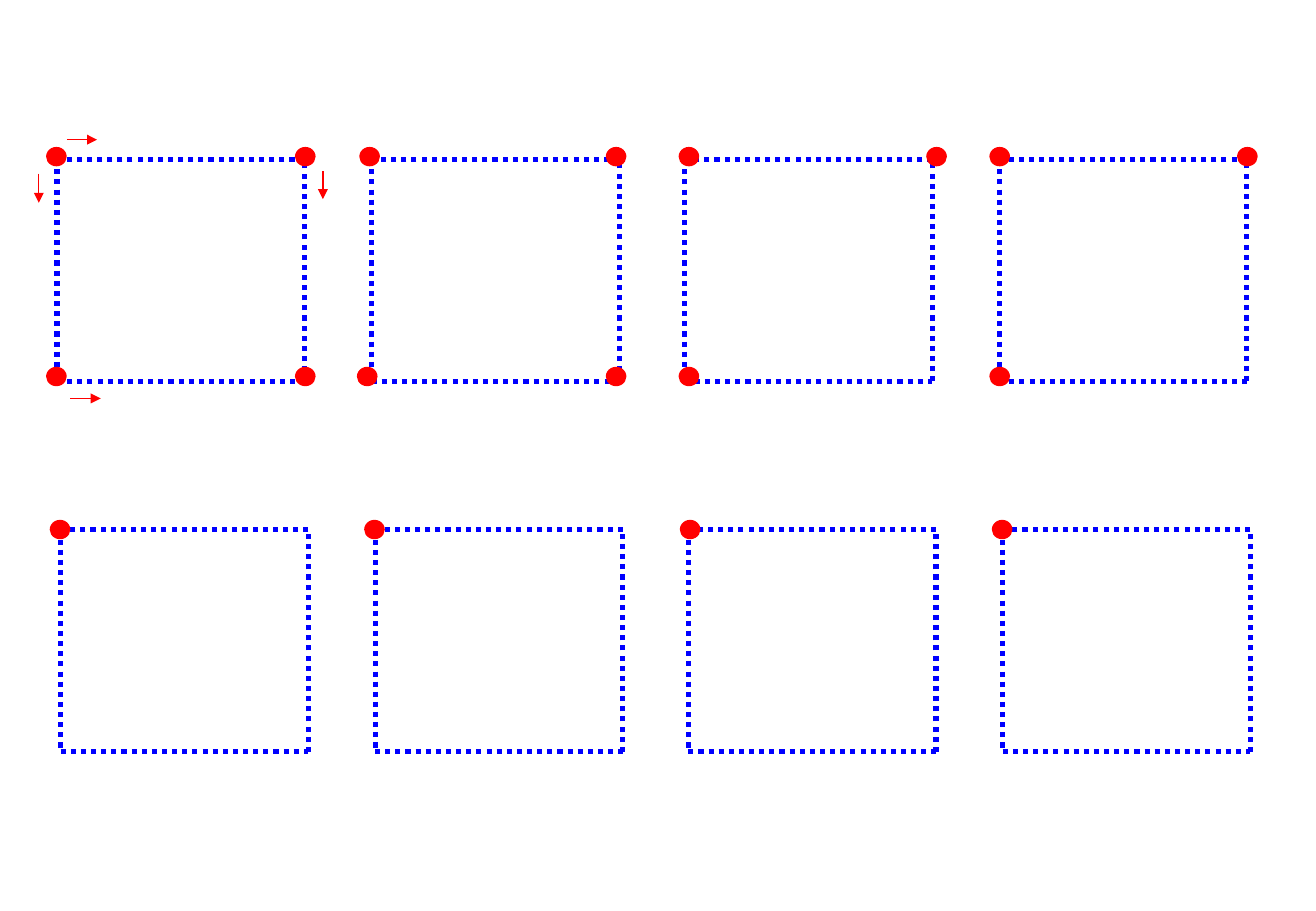
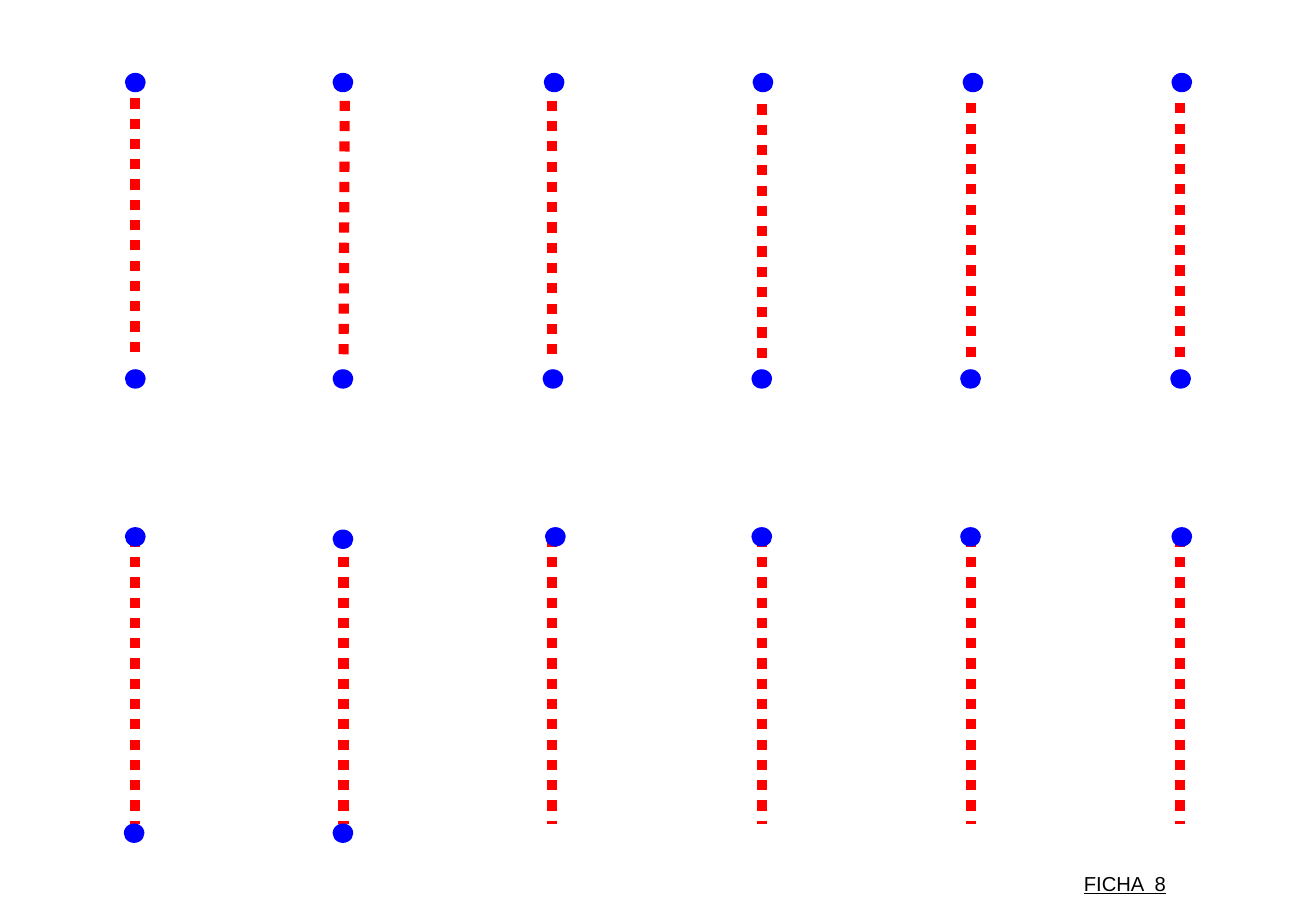
from lxml import etree
from pptx import Presentation
from pptx.dml.color import RGBColor
from pptx.enum.dml import MSO_LINE
from pptx.enum.shapes import MSO_CONNECTOR, MSO_SHAPE
from pptx.enum.text import MSO_AUTO_SIZE
from pptx.oxml.ns import qn
from pptx.util import Pt

PX = 9144
BLUE = RGBColor(0x00, 0x00, 0xFF)
RED = RGBColor(0xFF, 0x00, 0x00)
BLACK = RGBColor(0x00, 0x00, 0x00)
STRAIGHT = MSO_CONNECTOR.STRAIGHT
ELLIPSE = MSO_SHAPE.OVAL
DOTTED = MSO_LINE.ROUND_DOT
GROW = MSO_AUTO_SIZE.SHAPE_TO_FIT_TEXT
DOT_WIDTH, DOT_HEIGHT = 17, 16


def add_line(shapes, start, end, color, width, arrow=False):
    line = shapes.add_connector(STRAIGHT, *(value * PX for value in start + end))
    line.line.color.rgb = color
    line.line.width = Pt(width)
    properties = line._element.spPr
    if arrow:
        etree.SubElement(properties.find(qn("a:ln")), qn("a:tailEnd"), type="triangle")
    else:
        line.line.dash_style = DOTTED
    etree.SubElement(properties, qn("a:effectLst"))


def add_text(page, text, at, size, color, font="Arial", underline=False):
    box = page.shapes.add_textbox(*(value * PX for value in at))
    box.text_frame.word_wrap = True
    box.text_frame.auto_size = GROW
    span = box.text_frame.paragraphs[0].add_run()
    span.text = text
    span.font.name = font
    span.font.size = Pt(size)
    span.font.color.rgb = color
    span.font.underline = underline


deck = Presentation()
deck.slide_width = 1084 * PX
deck.slide_height = 750 * PX
blank = deck.slide_layouts[6]
squares_page = deck.slides.add_slide(blank)
strokes_page = deck.slides.add_slide(blank)

SQUARE_WIDTH, SQUARE_HEIGHT = 204, 183
for first_left, top in ((47, 131), (50, 436)):
    for column in range(4):
        left = first_left + round(column * 776 / 3)
        right, bottom = left + SQUARE_WIDTH, top + SQUARE_HEIGHT
        corners = [(right, bottom), (right, top), (left, top), (left, bottom)]
        square = squares_page.shapes.add_group_shape()
        for start, end in zip(corners, corners[1:] + corners[:1]):
            add_line(square.shapes, start, end, BLUE, 3)

UPPER_STROKES = ((81, 297), (83, 297), (83, 297), (86, 296), (85, 297), (85, 297))
for column, (top, bottom) in enumerate(UPPER_STROKES):
    x = 111 + round(column * 861 / 5)
    lean = 1 if column == 1 else 0
    add_line(strokes_page.shapes, (x + lean, top), (x, bottom), RED, 6)
    add_line(strokes_page.shapes, (x, 442), (x, 678), RED, 6)

DOT_ROWS = (
    (squares_page, RED, 121, (38, 243, 296, 499, 559, 763, 815, 1019)),
    (squares_page, RED, 302, (38, 243, 294, 499, 559, 815)),
    (squares_page, RED, 428, (41, 300, 560, 817)),
    (strokes_page, BLUE, 60, (103, 274, 448, 620, 793, 965)),
    (strokes_page, BLUE, 304, (103, 274, 447, 619, 791, 964)),
    (strokes_page, BLUE, 434, (103, 449, 619, 791, 965)),
    (strokes_page, BLUE, 436, (274,)),
    (strokes_page, BLUE, 678, (102, 274)),
)
for page, color, top, lefts in DOT_ROWS:
    for left in lefts:
        dot = page.shapes.add_shape(
            ELLIPSE, left * PX, top * PX, DOT_WIDTH * PX, DOT_HEIGHT * PX
        )
        dot.shadow.inherit = False
        dot.fill.solid()
        dot.fill.fore_color.rgb = color
        dot.line.fill.background()

ARROWS = (
    ((55, 115), (80, 115)),
    ((266, 141), (266, 164)),
    ((32, 143), (32, 167)),
    ((58, 328), (83, 328)),
)
for start, end in ARROWS:
    add_line(squares_page.shapes, start, end, RED, 0.75, arrow=True)

add_text(strokes_page, "FICHA  8", (883, 712, 117, 30), size=12, color=BLACK, underline=True)

deck.save("out.pptx")
